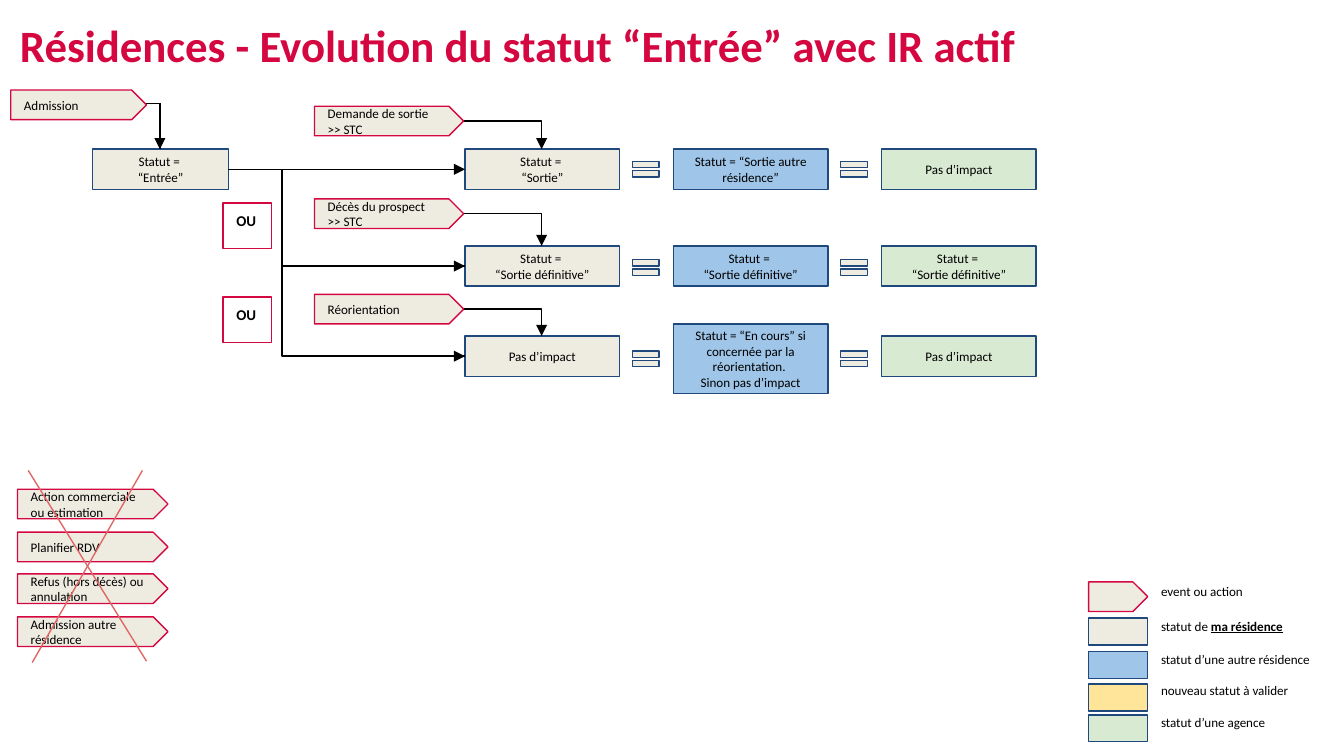
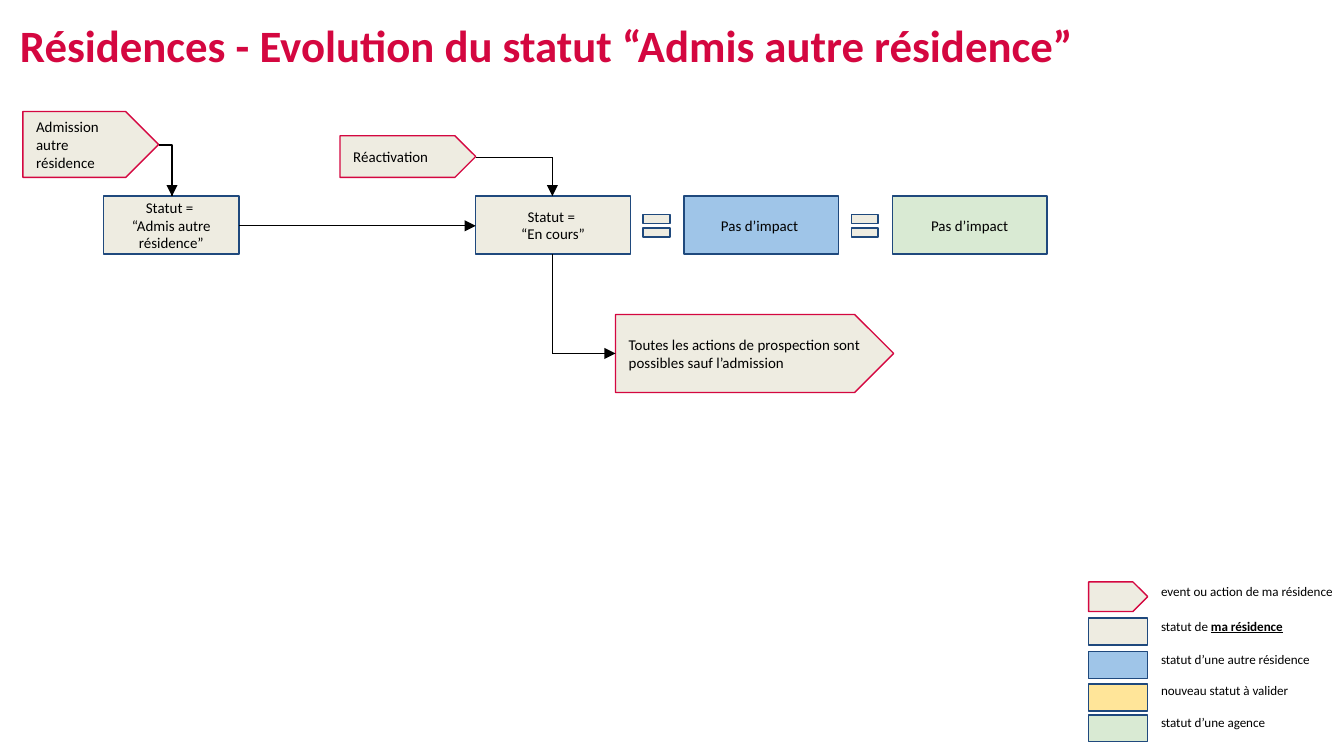
from lxml.etree import SubElement
from pptx import Presentation
from pptx.dml.color import RGBColor
from pptx.enum.shapes import MSO_CONNECTOR as LINK, MSO_SHAPE as SHAPE
from pptx.enum.text import MSO_ANCHOR as ANCHOR, MSO_AUTO_SIZE as FIT, PP_ALIGN as ALIGN
from pptx.oxml.ns import qn
from pptx.util import Emu, Pt

PX = 9144
FONT = "Calibri"
RED, NAVY, BLACK, CROSS = "D40740", "1F497D", "000000", "E06666"
SAND, BLUE, YELLOW, GREEN = "EEECE1", "9FC5E8", "FFE599", "D9EAD3"
STATUS_FILLS = [SAND, BLUE, GREEN]
COLUMN_STEP, COLUMN_WIDTH = 155, 115


def px(*lengths):
    return [Emu(length * PX) for length in lengths]


def paint(target, color):
    target.solid()
    target.fore_color.rgb = RGBColor.from_string(color)


def write(box, text, size=7, color=BLACK, bold=False, align=ALIGN.LEFT, anchor=ANCHOR.TOP,
          inset=10, spacing=None, grow=False, strong=""):
    frame = box.text_frame
    frame.word_wrap = True
    frame.vertical_anchor = anchor
    frame.auto_size = FIT.SHAPE_TO_FIT_TEXT if grow else FIT.NONE
    frame.margin_left, frame.margin_right = px(10, 10)
    frame.margin_top, frame.margin_bottom = px(inset, inset)
    for index, line in enumerate(text.split("\n")):
        para = frame.add_paragraph() if index else frame.paragraphs[0]
        para.alignment = align
        if spacing:
            para.line_spacing = spacing
        for words, marked in [(line, False), (strong, True)]:
            if words:
                span = para.add_run()
                span.text = words
                span.font.name, span.font.size = FONT, Pt(size)
                span.font.bold = bold or marked
                span.font.underline = marked
                paint(span.font.fill, color)


class Diagram:
    """Draws status diagrams in one shared style on the current slide."""

    def __init__(self):
        self.deck = Presentation()
        self.deck.slide_width = Emu(1000 * PX)
        self.deck.slide_height = Emu(self.deck.slide_width * 9 // 16)
        self.size = 7

    def add_page(self, title, size):
        page = self.deck.slides.add_slide(self.deck.slide_layouts[6])
        self.shapes, self.size = page.shapes, size
        box = self.shapes.add_textbox(*px(5, 1, 915, 70))
        write(box, title, size=24, color=RED, bold=True, anchor=ANCHOR.MIDDLE,
              inset=5, spacing=0.9)

    def outline(self, kind, bounds, fill, line):
        shape = self.shapes.add_shape(kind, *px(*bounds))
        shape.shadow.inherit = False
        if fill:
            paint(shape.fill, fill)
        else:
            shape.fill.background()
        paint(shape.line.fill, line)
        shape.line.width = Pt(0.75)
        return shape

    def status(self, bounds, text="", fill=SAND):
        box = self.outline(SHAPE.RECTANGLE, bounds, fill, NAVY)
        if text:
            write(box, text, size=self.size, align=ALIGN.CENTER, anchor=ANCHOR.MIDDLE)

    def event(self, bounds, text=""):
        box = self.outline(SHAPE.PENTAGON, bounds, SAND, RED)
        if text:
            write(box, text, size=self.size, anchor=ANCHOR.MIDDLE)

    def choice(self, left, top):
        box = self.outline(SHAPE.RECTANGLE, (left, top, 36, 34), None, RED)
        write(box, "OU", size=8, bold=True, grow=True)

    def line(self, start, end, color=BLACK, arrow=False, kind=LINK.STRAIGHT):
        link = self.shapes.add_connector(kind, *px(*start, *end))
        paint(link.line.fill, color)
        link.line.width = Pt(0.75)
        properties = link._element.spPr
        if arrow:
            SubElement(link.line._get_or_add_ln(), qn("a:tailEnd"), type="triangle")
        SubElement(properties, qn("a:effectLst"))
        return properties.find(qn("a:prstGeom"))

    def elbow(self, start, end):
        self.line(start, end, kind=LINK.ELBOW).set("prst", "bentConnector2")

    def drop(self, start, end):
        self.elbow(start, end)
        self.line((end[0], start[1]), end, arrow=True)

    def branch(self, start, end, bend):
        geometry = self.line(start, end, kind=LINK.ELBOW)
        guides = geometry.find(qn("a:avLst"))
        if guides is None:
            guides = SubElement(geometry, qn("a:avLst"))
        share = round(100000 * (bend - start[0]) / (end[0] - start[0]))
        SubElement(guides, qn("a:gd"), name="adj1", fmla=f"val {share}")
        self.line((bend + 2, end[1]), end, arrow=True)

    def status_row(self, left, spans, texts, equal_top, equal_height):
        for index, ((top, height), text, fill) in enumerate(zip(spans, texts, STATUS_FILLS)):
            x = left + index * COLUMN_STEP
            self.status((x, top, COLUMN_WIDTH, height), text, fill)
            if index:
                self.outline(SHAPE.MATH_EQUAL, (x - 34, equal_top, 27, equal_height), SAND, NAVY)

    def legend(self, event_label):
        page_shapes = self.shapes
        self.shapes = page_shapes.add_group_shape().shapes
        self.event((810, 433, 44, 22))
        swatches = [(460, SAND), (485, BLUE), (509, YELLOW), (532, GREEN)]
        for top, fill in swatches:
            self.status((810, top, 44, 20), fill=fill)
        labels = [(428, 155, 32, event_label, ""),
                  (454, 128, 32, "statut de ", "ma résidence"),
                  (479, 155, 44, "statut d’une autre résidence", ""),
                  (502, 132, 32, "nouveau statut à valider", ""),
                  (526, 132, 32, "statut d’une agence", "")]
        for top, width, height, text, strong in labels:
            box = self.shapes.add_textbox(*px(854, top, width, height))
            write(box, text, strong=strong, grow=True)
        self.shapes = page_shapes


def draw_entry(diagram):
    diagram.add_page("Résidences - Evolution du statut “Entrée” avec IR actif", size=7)
    diagram.event((8, 67, 101, 22), "Admission")
    diagram.status((69, 111, 101, 30), "Statut = \n“Entrée”")
    diagram.drop((109, 77), (119, 111))
    final = "Statut = \n“Sortie définitive”"
    none = "Pas d’impact"
    rows = [
        (111, 79, 116, "Demande de sortie >> STC",
         ["Statut = \n“Sortie”", "Statut = “Sortie autre résidence”", none]),
        (183, 148, 189, "Décès du prospect\n>> STC", [final] * 3),
        (250, 219, 257, "Réorientation",
         [none, "Statut = “En cours” si concernée par la réorientation. \nSinon pas d’impact",
          none]),
    ]
    for top, event_top, equal_top, event, texts in rows:
        spans = [(top, 30)] * 3
        if top == 250:
            spans[1] = (241, 52)
        diagram.event((234, event_top, 111, 22), event)
        diagram.status_row(346, spans, texts, equal_top, 20)
        diagram.drop((345, event_top + 11), (403, top))
        if top == 111:
            diagram.line((170, 126), (346, 126), arrow=True)
        else:
            diagram.branch((170, 126), (346, top + 15), bend=210)
    for top in (151, 221):
        diagram.choice(166, top)
    excluded = ["Action commerciale ou estimation", "Planifier RDV",
                "Refus (hors décès) ou annulation", "Admission autre résidence"]
    for index, text in enumerate(excluded):
        diagram.event((13, 364 + index * 32 - index // 2, 112, 22), text)
    diagram.line((109, 492), (21, 350), CROSS)
    diagram.line((106, 350), (24, 493), CROSS)
    diagram.legend("event ou action")


def draw_admitted(diagram):
    diagram.add_page("Résidences - Evolution du statut “Admis autre résidence”", size=8)
    diagram.event((17, 83, 101, 49), "Admission autre résidence")
    diagram.status((77, 146, 101, 43), "Statut = \n“Admis autre résidence”")
    diagram.drop((118, 108), (128, 146))
    diagram.event((253, 101, 101, 31), "Réactivation")
    texts = ["Statut = \n“En cours”", "Pas d’impact ", "Pas d’impact"]
    diagram.status_row(354, [(146, 43)] * 3, texts, 154, 28)
    diagram.drop((354, 117), (411, 146))
    diagram.line((178, 168), (354, 168), arrow=True)
    diagram.event((458, 234, 207, 58),
                  "Toutes les actions de prospection sont possibles sauf l’admission")
    diagram.elbow((458, 263), (411, 189))
    diagram.line((411, 263), (458, 263), arrow=True)
    diagram.legend("event ou action de ma résidence")


def main():
    diagram = Diagram()
    draw_entry(diagram)
    draw_admitted(diagram)
    diagram.deck.save("out.pptx")


if __name__ == "__main__":
    main()
